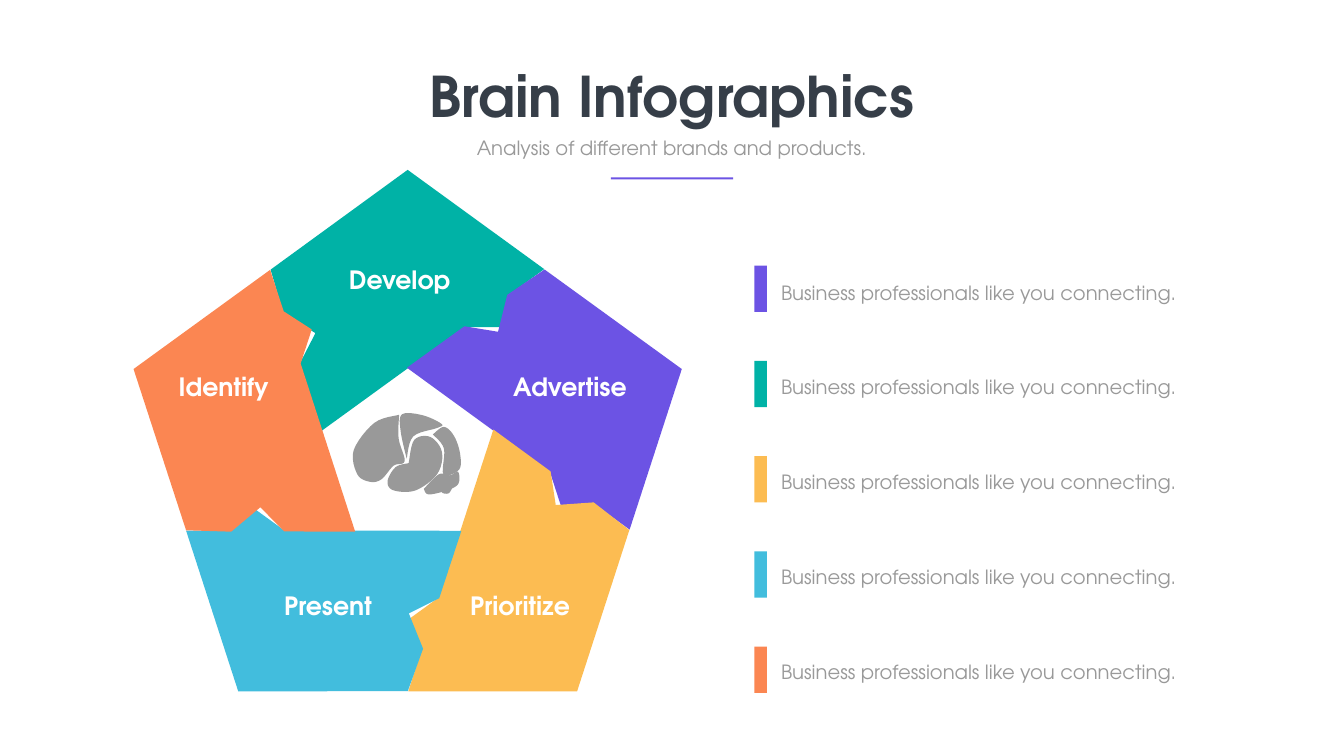
from math import cos, radians, sin

from pptx import Presentation
from pptx.dml.color import RGBColor
from pptx.enum.shapes import MSO_SHAPE as Shape
from pptx.enum.text import MSO_AUTO_SIZE as AutoSize, PP_ALIGN as Align
from pptx.util import Inches, Pt

COLUMNS, ROWS = 26.67, 15
CELL = Inches(1)
FONT = "TeX Gyre Adventor"
TEAL, VIOLET, AMBER, SKY, CORAL = "00B2A6", "6C53E4", "FCBC52", "42BDDD", "FB8652"
DARK, GRAY, WHITE = "363E48", "999999", "FFFFFF"
CURVE_STEPS = 6

CENTER = (8.09, 9.09)
TURN = 72
SEGMENT = [(0, -5.72), (2.71, -3.75), (2.01, -3.24), (1.84, -2.6), (1.13, -2.6),
           (-1.71, -0.54), (-2.14, -1.88), (-1.83, -2.48), (-2.47, -2.88), (-2.72, -3.74)]
SEGMENT_LABELS = [
    ("Develop", TEAL, 6.15, 5.19),
    ("Advertise", VIOLET, 9.53, 7.31),
    ("Prioritize", AMBER, 8.54, 11.67),
    ("Present", SKY, 4.73, 11.67),
    ("Identify", CORAL, 2.66, 7.31),
]
LEGEND = [VIOLET, TEAL, AMBER, SKY, CORAL]

BRAIN_LOBES = [
    [(7.92, 8.23), (7.43, 8.39), (7.02, 8.93), (7.09, 9.41), (7.34, 9.56),
     (7.57, 9.51), (7.81, 9.24), (8.03, 9.15), (7.91, 8.7)],
    [(8.07, 9.1), (7.95, 8.55), (7.98, 8.22), (8.39, 8.24), (8.76, 8.41), (8.68, 8.49), (8.2, 8.66)],
    [(8.11, 9.19), (8.22, 8.73), (8.54, 8.67), (8.77, 8.97), (8.68, 9.4),
     (8.25, 9.73), (7.81, 9.73), (7.69, 9.55), (7.85, 9.27)],
    [(8.59, 8.62), (8.81, 8.47), (9.01, 8.65), (9.13, 9), (9.11, 9.32), (8.8, 9.41), (8.81, 8.9)],
    [(8.41, 9.7), (8.71, 9.41), (8.93, 9.43), (9.09, 9.36), (9.1, 9.59), (8.9, 9.72), (8.51, 9.81)],
    [(8.98, 9.67), (8.9, 9.79), (8.77, 9.77), (8.84, 9.66)],
]


def color(hex_text):
    return RGBColor.from_string(hex_text)


def cells(*counts):
    return [round(count * CELL) for count in counts]


def write(box, text, size, ink, bold=False, align=Align.LEFT, spacing=None):
    para = box.text_frame.paragraphs[0]
    para.alignment = align
    if spacing:
        para.line_spacing = Pt(spacing)
    span = para.add_run()
    span.text = text
    span.font.name = FONT
    span.font.size = Pt(size)
    span.font.bold = bold
    span.font.color.rgb = color(ink)


def rotate(points, degrees):
    c, s = cos(radians(degrees)), sin(radians(degrees))
    return [(CENTER[0] + x * c - y * s, CENTER[1] + x * s + y * c) for x, y in points]


def smooth(anchors):
    knots = [anchors[0], *anchors, anchors[0], anchors[0]]
    points = []
    for quad in zip(knots, knots[1:], knots[2:], knots[3:]):
        for step in range(CURVE_STEPS):
            t = step / CURVE_STEPS
            points.append(tuple(
                b + t * (c - a + t * (2 * a - 5 * b + 4 * c - d + t * (3 * b - 3 * c + d - a))) / 2
                for a, b, c, d in zip(*quad)))
    return points


class Painter:
    def __init__(self, page):
        self.page = page
        self.start_group()

    def start_group(self):
        self.shapes = self.page.shapes.add_group_shape().shapes

    def paint(self, shape, fill):
        shape.shadow.inherit = False
        shape.fill.solid()
        shape.fill.fore_color.rgb = color(fill)
        shape.line.fill.background()

    def bar(self, left, top, width, height, fill):
        self.paint(self.shapes.add_shape(Shape.RECTANGLE, *cells(left, top, width, height)), fill)

    def outline(self, points, fill):
        corners = [cells(*point) for point in points]
        builder = self.shapes.build_freeform(*corners[0])
        builder.add_line_segments(corners[1:], close=True)
        self.paint(builder.convert_to_shape(), fill)

    def text(self, left, top, width, height, text, wrap=True, **style):
        box = self.shapes.add_textbox(*cells(left, top, width, height))
        box.text_frame.word_wrap = wrap
        box.text_frame.auto_size = AutoSize.SHAPE_TO_FIT_TEXT
        write(box, text, **style)


def main():
    deck = Presentation()
    deck.slide_width, deck.slide_height = cells(COLUMNS, ROWS)
    painter = Painter(deck.slides.add_slide(deck.slide_layouts[6]))

    for turn, (label, fill, left, top) in enumerate(SEGMENT_LABELS):
        painter.outline(rotate(SEGMENT, turn * TURN), fill)
    for label, fill, left, top in SEGMENT_LABELS:
        painter.text(left, top, 3.56, 0.85, label, size=36, ink=WHITE, bold=True, align=Align.CENTER)
    for lobe in BRAIN_LOBES:
        painter.outline(smooth(lobe), GRAY)
    for row, fill in enumerate(LEGEND):
        painter.bar(14.97, 5.27 + row * 1.89, 0.25, 0.92, fill)
        painter.text(15.4, 5.45 + row * 1.88, 8.24, 0.6, "Business professionals like you connecting.",
                     size=28, ink=GRAY, spacing=38.6)

    painter.start_group()
    painter.text(8.35, 1.17, 9.97, 1.45, "Brain Infographics", wrap=False,
                 size=80, ink=DARK, bold=True, align=Align.CENTER)
    painter.text(8.55, 2.65, 9.56, 0.57, "Analysis of different brands and products.",
                 size=28, ink=GRAY, align=Align.CENTER)
    painter.bar(12.12, 3.52, 2.43, 0.04, VIOLET)
    deck.save("out.pptx")


if __name__ == "__main__":
    main()
